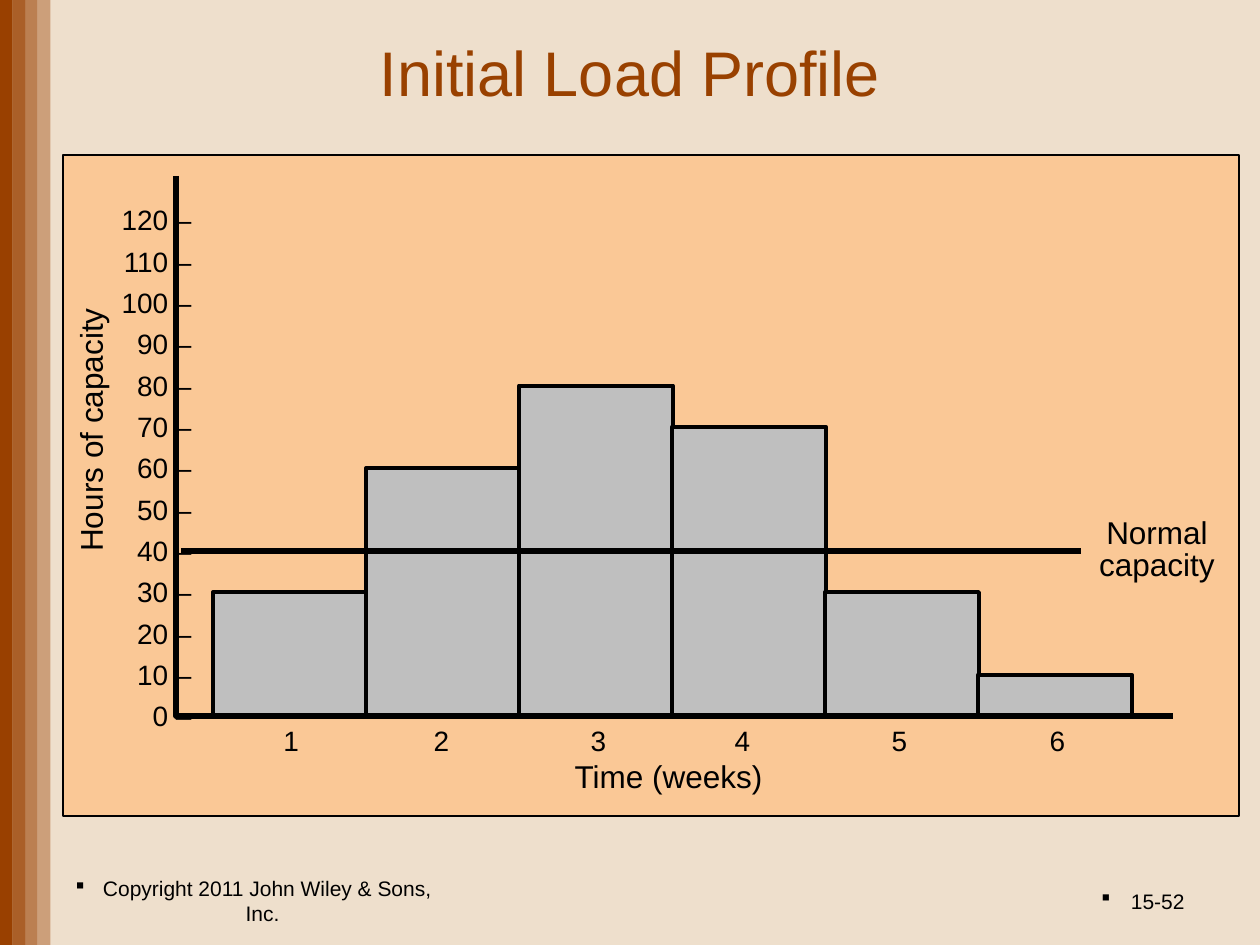
from lxml import etree
from pptx import Presentation
from pptx.dml.color import RGBColor
from pptx.enum.shapes import MSO_CONNECTOR, MSO_SHAPE
from pptx.enum.text import MSO_ANCHOR, PP_ALIGN
from pptx.oxml.ns import qn
from pptx.util import Emu, Pt

RECT = MSO_SHAPE.RECTANGLE
STRAIGHT = MSO_CONNECTOR.STRAIGHT
LEFT, CENTER, RIGHT = PP_ALIGN.LEFT, PP_ALIGN.CENTER, PP_ALIGN.RIGHT
TOP, MIDDLE = MSO_ANCHOR.TOP, MSO_ANCHOR.MIDDLE

SAND = RGBColor(0xEE, 0xDF, 0xCC)
RUST = RGBColor(0x99, 0x40, 0x00)
TITLE_RUST = RGBColor(0x99, 0x41, 0x00)
PEACH = RGBColor(0xFA, 0xC8, 0x96)
GREY = RGBColor(0xBF, 0xBF, 0xBF)
BLACK = RGBColor(0, 0, 0)

PX = 914400 / 126
BASE_Y = 716
HOURS = [30, 60, 80, 70, 30, 10]


def emu(*lengths):
    """Turn px into EMU."""
    return [Emu(round(n * PX)) for n in lengths]


def write(shape, lines, size, align, spacing=0.85, anchor=TOP, wrap=True, color=BLACK):
    tf = shape.text_frame
    tf.word_wrap = wrap
    tf.vertical_anchor = anchor
    for i, line in enumerate(lines):
        p = tf.add_paragraph() if i else tf.paragraphs[0]
        p.alignment = align
        p.line_spacing = spacing
        p.space_before = Pt(0)
        r = p.add_run()
        r.text = line
        r.font.name = "Arial"
        r.font.size = Pt(size)
        r.font.color.rgb = color
    return shape


prs = Presentation()
prs.slide_width, prs.slide_height = emu(1260, 945)
s = prs.slides.add_slide(prs.slide_layouts[5])
s.background.fill.solid()
s.background.fill.fore_color.rgb = SAND

# Side stripes, fading to the right
stripe_width = 12.6
for i in range(4):
    stripe = s.shapes.add_shape(RECT, *emu(i * stripe_width, 0, stripe_width, 945))
    stripe.shadow.inherit = False
    stripe.fill.solid()
    stripe.fill.fore_color.rgb = RUST
    stripe.line.fill.background()
    if i:
        clr = stripe.fill._xPr.find(qn("a:solidFill"))[0]
        etree.SubElement(clr, qn("a:alpha")).set("val", str(100000 - i * 20000))

# Title
title = s.shapes.title
title.left, title.top, title.width, title.height = emu(168, 8, 924, 138)
write(title, ["Initial Load Profile"], 36, CENTER, anchor=MIDDLE, color=TITLE_RUST)

# Footer with bullets
for box, text, align in [
    ((63, 876, 399, 50), "Copyright 2011 John Wiley & Sons, Inc.", CENTER),
    ((903, 876, 294, 50), "15-52", RIGHT),
]:
    sp = s.shapes.add_textbox(*emu(*box))
    pPr = sp.text_frame.paragraphs[0]._p.get_or_add_pPr()
    etree.SubElement(pPr, qn("a:buFont")).set("typeface", "Wingdings")
    etree.SubElement(pPr, qn("a:buChar")).set("char", "§")
    write(sp, [text], 12, align, spacing=1.0, anchor=MIDDLE)

# Panel and bars: 10 hours are 41.3 px high
bars = [(213 + i * 153, BASE_Y - h * 4.13, 154, h * 4.13) for i, h in enumerate(HOURS)]
for box, fill, weight in [((63, 155, 1176, 661), PEACH, 1.5)] + [(b, GREY, 2.25) for b in bars]:
    sp = s.shapes.add_shape(RECT, *emu(*box))
    sp.shadow.inherit = False
    sp.fill.solid()
    sp.fill.fore_color.rgb = fill
    sp.line.color.rgb = BLACK
    sp.line.width = Pt(weight)

# Axes
fb = s.shapes.build_freeform(*emu(176, 176))
fb.add_line_segments([emu(176, BASE_Y), emu(1173, BASE_Y)], close=False)
axes = fb.convert_to_shape()
axes.shadow.inherit = False
axes.fill.background()

# Normal capacity line
capacity = s.shapes.add_connector(STRAIGHT, *emu(181, 551, 1081, 551))
etree.SubElement(capacity._element.spPr, qn("a:effectLst"))
for sp in (axes, capacity):
    sp.line.color.rgb = BLACK
    sp.line.width = Pt(3)

# Labels
hours_title = s.shapes.add_textbox(*emu(-66, 408, 318, 44))
hours_title.rotation = 270
write(hours_title, ["Hours of capacity"], 18, CENTER)

ticks = [f"{n} –" for n in range(120, -1, -10)]
write(s.shapes.add_textbox(*emu(108, 189, 96, 551)), ticks, 16, RIGHT, Pt(23.6), wrap=False)

weeks = s.shapes.add_textbox(*emu(271, 723, 873, 40))
pPr = weeks.text_frame.paragraphs[0]._p.get_or_add_pPr()
tabs = etree.SubElement(pPr, qn("a:tabLst"))
for pos in emu(158, 315, 459, 616, 774):
    tab = etree.SubElement(tabs, qn("a:tab"))
    tab.set("pos", str(pos))
    tab.set("algn", "ctr")
write(weeks, ["1\t2\t3\t4\t5\t6"], 16, LEFT)

write(s.shapes.add_textbox(*emu(557, 757, 223, 44)), ["Time (weeks)"], 18, CENTER, wrap=False)
write(s.shapes.add_textbox(*emu(1086, 513, 142, 77)), ["Normal", "capacity"], 18, CENTER, wrap=False)

prs.save("out.pptx")
